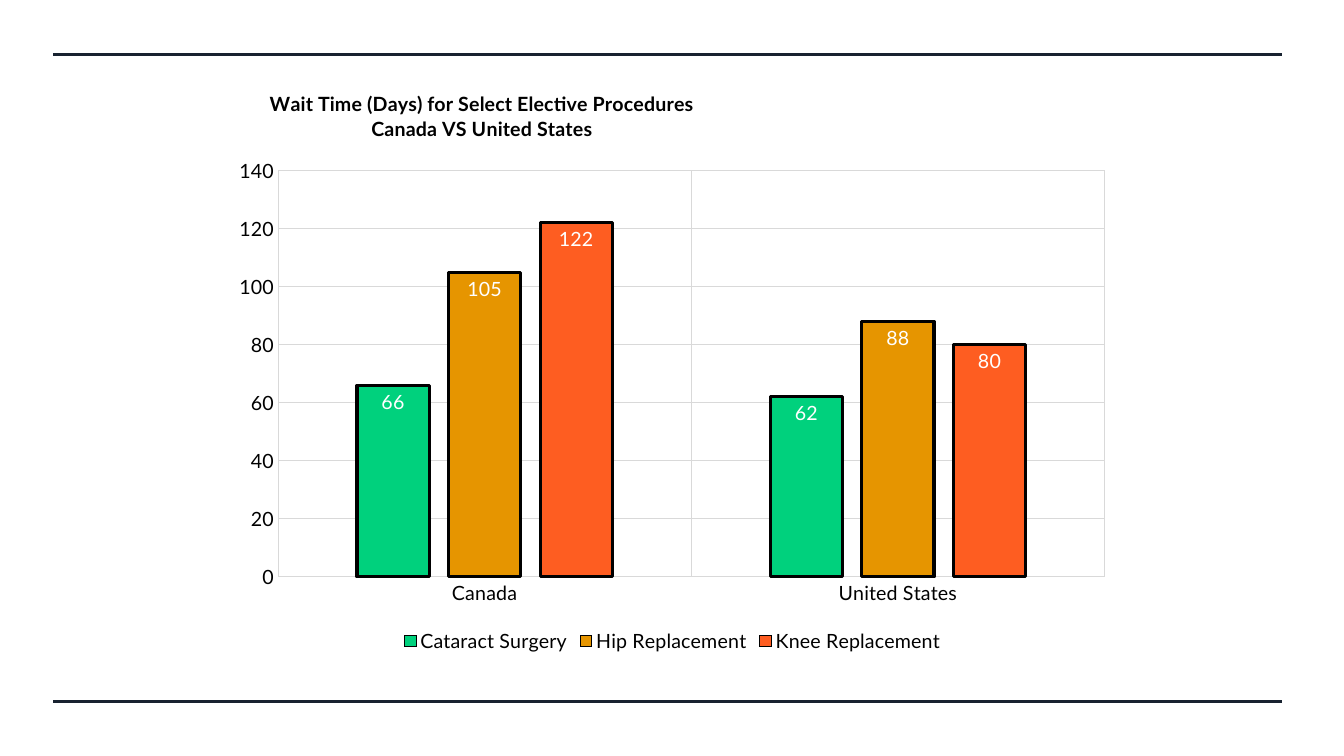
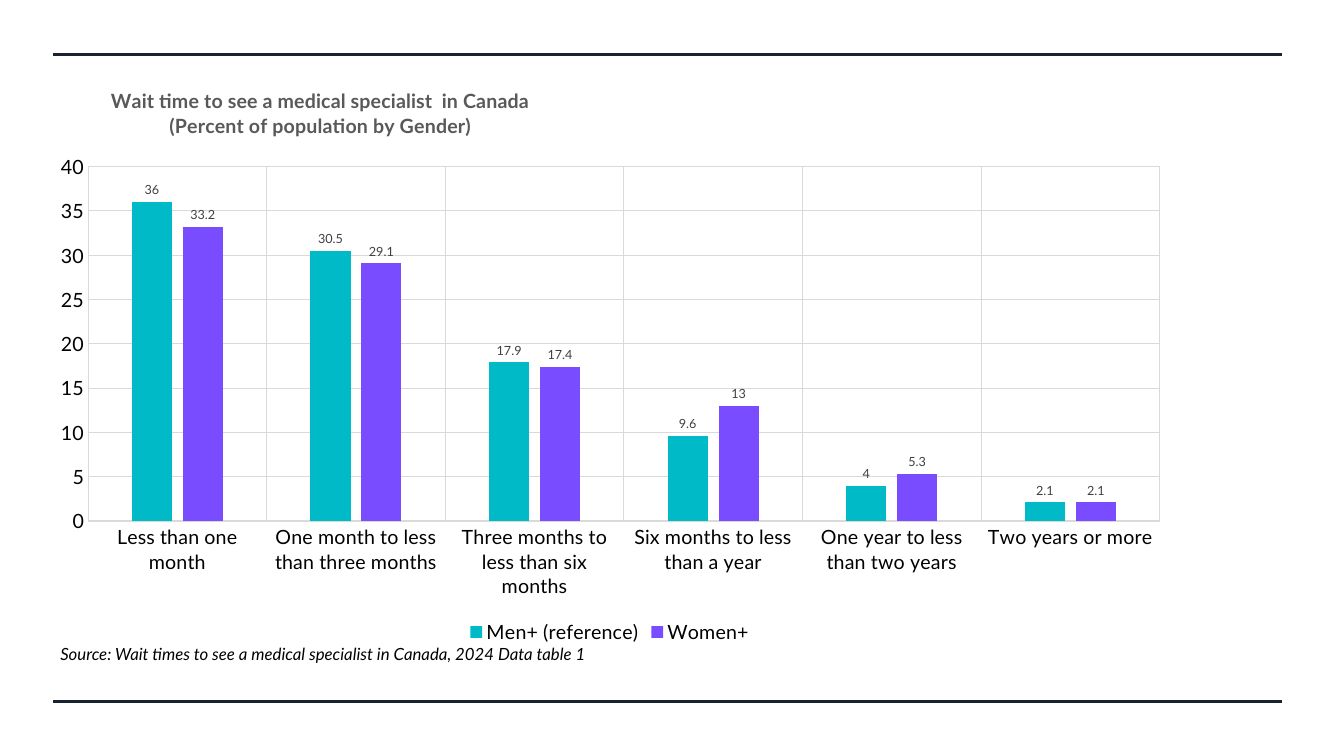
from dataclasses import dataclass
from typing import NamedTuple, Optional

from lxml import etree
from pptx import Presentation
from pptx import util as u
from pptx.chart import data as chart_data
from pptx.dml import color as dml
from pptx.enum import chart as chart_enum
from pptx.enum import shapes, text
from pptx.oxml import ns


@dataclass(frozen=True)
class Theme:
    font: str = "Lato"
    ink: str = "000000"
    rule: str = "182230"
    grid: str = "D9D9D9"
    white: str = "FFFFFF"
    muted: str = "595959"
    label: str = "404040"
    green: str = "00D17D"
    amber: str = "E69500"
    orange: str = "FE5D21"
    teal: str = "00BAC8"
    violet: str = "794DFF"
    body_size: int = 14
    source_size: int = 12
    small_size: int = 9
    thick: float = 2.25
    thin: float = 0.75


THEME = Theme()
PAGE_WIDTH, PAGE_HEIGHT = 960, 540
RULE_LEFT, RULE_RIGHT = 38, 916
RULE_INSET = 39


class Frame(NamedTuple):
    """A rectangle on the page, in points."""
    left: float
    top: float
    width: float
    height: float

    def lengths(self) -> list:
        return [u.Pt(value) for value in self]


class Series(NamedTuple):
    name: str
    values: tuple
    color: str


@dataclass(frozen=True)
class ColumnChart:
    title: tuple
    title_at: tuple
    title_color: str
    frame: Frame
    plot: Frame
    categories: tuple
    series: tuple
    top_value: int
    step: int
    label_size: int
    label_color: str
    label_position: chart_enum.XL_LABEL_POSITION
    outline: Optional[str] = None


WAIT_BY_COUNTRY = ColumnChart(
    title=("Wait Time (Days) for Select Elective Procedures",
           "Canada VS United States"),
    title_at=(190.5, 62),
    title_color=THEME.ink,
    frame=Frame(158.4, 51.1, 643.7, 418.3),
    plot=Frame(198.6, 121.8, 590.5, 290.3),
    categories=("Canada", "United States"),
    series=(Series("Cataract Surgery", (66, 62), THEME.green),
            Series("Hip Replacement", (105, 88), THEME.amber),
            Series("Knee Replacement", (122, 80), THEME.orange)),
    top_value=140,
    step=20,
    label_size=THEME.body_size,
    label_color=THEME.white,
    label_position=chart_enum.XL_LABEL_POSITION.INSIDE_END,
    outline=THEME.ink,
)

WAIT_BY_GENDER = ColumnChart(
    title=("Wait time to see a medical specialist  in Canada",
           "(Percent of population by Gender)"),
    title_at=(77, 60),
    title_color=THEME.muted,
    frame=Frame(26.6, 48.2, 817.9, 414.7),
    plot=Frame(62.9, 119, 765.5, 253.2),
    categories=("Less than one month", "One month to less than three months",
                "Three months to less than six months",
                "Six months to less than a year",
                "One year to less than two years", "Two years or more"),
    series=(Series("Men+ (reference)", (36, 30.5, 17.9, 9.6, 4, 2.1), THEME.teal),
            Series("Women+", (33.2, 29.1, 17.4, 13, 5.3, 2.1), THEME.violet)),
    top_value=40,
    step=5,
    label_size=THEME.small_size,
    label_color=THEME.label,
    label_position=chart_enum.XL_LABEL_POSITION.OUTSIDE_END,
)


def rgb(value: str) -> dml.RGBColor:
    return dml.RGBColor.from_string(value)


def set_font(font, size: float, color: str, bold: bool = False,
             italic: bool = False) -> None:
    font.name = THEME.font
    font.size = u.Pt(size)
    font.bold = bold
    font.italic = italic
    font.color.rgb = rgb(color)


def write(text_frame, lines: tuple, *, size: float, color: str,
          bold: bool = False, italic: bool = False,
          align=text.PP_ALIGN.LEFT) -> None:
    """Fill a text frame with one paragraph per line."""
    for index, line in enumerate(lines):
        para = text_frame.add_paragraph() if index else text_frame.paragraphs[0]
        para.alignment = align
        span = para.add_run()
        span.text = line
        set_font(span.font, size, color, bold, italic)


def set_line(line, color: Optional[str], width: float) -> None:
    if color is None:
        line.fill.background()
        return
    line.color.rgb = rgb(color)
    line.width = u.Pt(width)


def add_rules(page) -> None:
    """Put the top and bottom rules on the layout that the page uses."""
    for y in (RULE_INSET, PAGE_HEIGHT - RULE_INSET):
        rule = page.shapes.add_connector(
            shapes.MSO_CONNECTOR.STRAIGHT,
            u.Pt(RULE_LEFT), u.Pt(y), u.Pt(RULE_RIGHT), u.Pt(y))
        set_line(rule.line, THEME.rule, THEME.thick)
        etree.SubElement(rule.element.spPr, ns.qn("a:effectLst"))
        page.slide_layout.shapes.element.append(rule.element)


def place(parent, index: int, settings: dict) -> None:
    """Give a chart part a manual layout as its child at the index."""
    for old in parent.findall(ns.qn("c:layout")):
        parent.remove(old)
    layout = etree.Element(ns.qn("c:layout"))
    manual = etree.SubElement(layout, ns.qn("c:manualLayout"))
    for tag, value in settings.items():
        etree.SubElement(manual, ns.qn(f"c:{tag}")).set("val", str(value))
    parent.insert(index, layout)


def arrange(chart, design: ColumnChart) -> None:
    """Place the title and the plot inside the chart's frame."""
    frame, plot = design.frame, design.plot

    def offset(left: float, top: float) -> dict:
        return {"xMode": "edge", "yMode": "edge",
                "x": (left - frame.left) / frame.width,
                "y": (top - frame.top) / frame.height}

    place(chart.chart_title.element, 1, offset(*design.title_at))
    place(chart.element.find(".//" + ns.qn("c:plotArea")), 0,
          {"layoutTarget": "inner", **offset(plot.left, plot.top),
           "w": plot.width / frame.width, "h": plot.height / frame.height})


def style_axis(axis, line_color: Optional[str]) -> None:
    axis.major_tick_mark = chart_enum.XL_TICK_MARK.NONE
    axis.minor_tick_mark = chart_enum.XL_TICK_MARK.NONE
    axis.has_major_gridlines = True
    set_line(axis.major_gridlines.format.line, THEME.grid, THEME.thin)
    set_line(axis.format.line, line_color, THEME.thin)
    set_font(axis.tick_labels.font, THEME.body_size, THEME.ink)


def style_series(series, color: str, design: ColumnChart) -> None:
    series.invert_if_negative = False
    series.format.fill.solid()
    series.format.fill.fore_color.rgb = rgb(color)
    set_line(series.format.line, design.outline, THEME.thick)
    labels = series.data_labels
    labels.show_value = True
    labels.position = design.label_position
    set_font(labels.font, design.label_size, design.label_color)


def add_column_chart(page, design: ColumnChart) -> None:
    data = chart_data.CategoryChartData()
    data.categories = design.categories
    for item in design.series:
        data.add_series(item.name, item.values)
    chart = page.shapes.add_chart(
        chart_enum.XL_CHART_TYPE.COLUMN_CLUSTERED,
        *design.frame.lengths(), data).chart
    set_font(chart.font, THEME.body_size, THEME.ink)

    chart.has_title = True
    write(chart.chart_title.text_frame, design.title, size=THEME.body_size,
          color=design.title_color, bold=True, align=text.PP_ALIGN.CENTER)

    chart.has_legend = True
    chart.legend.position = chart_enum.XL_LEGEND_POSITION.BOTTOM
    chart.legend.include_in_layout = False
    set_font(chart.legend.font, THEME.body_size, THEME.ink)

    style_axis(chart.category_axis, THEME.grid)
    style_axis(chart.value_axis, None)
    chart.value_axis.minimum_scale = 0
    chart.value_axis.maximum_scale = design.top_value
    chart.value_axis.major_unit = design.step

    columns = chart.plots[0]
    columns.gap_width = 219
    columns.overlap = -27
    columns.vary_by_categories = False
    for series, item in zip(columns.series, design.series):
        style_series(series, item.color, design)
    arrange(chart, design)


def add_source(page, line: str) -> None:
    box = page.shapes.add_textbox(*Frame(36, 456.5, 443.5, 44).lengths())
    box.text_frame.word_wrap = True
    write(box.text_frame, (line,), size=THEME.source_size, color=THEME.ink,
          italic=True)


def main() -> None:
    deck = Presentation()
    deck.slide_width, deck.slide_height = u.Pt(PAGE_WIDTH), u.Pt(PAGE_HEIGHT)
    blank = deck.slide_layouts[6]

    country_page = deck.slides.add_slide(blank)
    add_rules(country_page)
    add_column_chart(country_page, WAIT_BY_COUNTRY)

    gender_page = deck.slides.add_slide(blank)
    add_column_chart(gender_page, WAIT_BY_GENDER)
    add_source(gender_page, "Source: Wait times to see a medical specialist "
                            "in Canada, 2024 Data table 1")

    deck.save("out.pptx")


if __name__ == "__main__":
    main()
